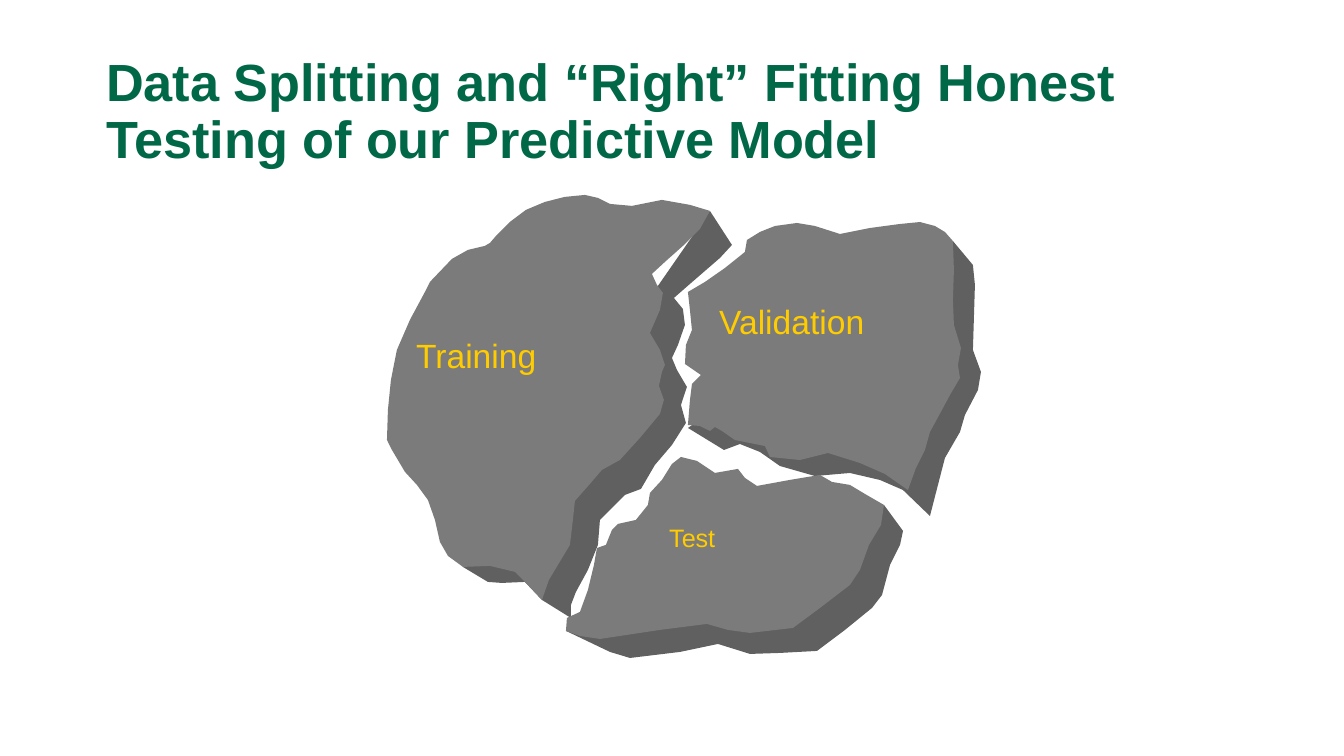
from pptx import Presentation
from pptx.dml.color import RGBColor
from pptx.enum.text import MSO_ANCHOR
from pptx.util import Emu, Pt

PX = 914400 / 134.4
COLORS = {"title": "006747", "label": "FFCC00", "face": "7B7B7B", "side": "606060"}

# Each stone piece: outline of its thick edge, then of its front face
TRAINING_SIDE = [
    (710, 211), (732, 245), (720, 258), (690, 284), (674, 298), (683, 309), (685, 325),
    (678, 345), (672, 358), (677, 370), (687, 387), (681, 405), (686, 423), (672, 445),
    (655, 465), (641, 489), (625, 495), (600, 520), (598, 545), (588, 570), (576, 592),
    (571, 605), (571, 618), (542, 600), (525, 582), (502, 583), (488, 582), (463, 567),
]
TRAINING_FACE = [
    (490, 243), (497, 235), (510, 222), (526, 210), (545, 202), (565, 197), (585, 195),
    (598, 198), (610, 204), (632, 206), (662, 200), (690, 205), (710, 211), (700, 229),
    (683, 246), (665, 262), (652, 274), (657, 285), (663, 293), (660, 310), (650, 333),
    (660, 350), (665, 365), (662, 372), (659, 386), (664, 400), (660, 414), (640, 438),
    (620, 460), (602, 470), (590, 484), (575, 501), (573, 520), (570, 545), (558, 565),
    (549, 580), (542, 600), (525, 582), (515, 572), (490, 566), (463, 567), (448, 556),
    (440, 542), (435, 520), (428, 500), (417, 485), (405, 472), (392, 450), (387, 440),
    (388, 410), (391, 380), (397, 350), (410, 320), (425, 292), (430, 282), (452, 259),
    (468, 250), (485, 246),
]
VALIDATION_SIDE = [
    (953, 241), (973, 265), (975, 285), (973, 350), (981, 372), (978, 390), (965, 415),
    (960, 432), (945, 458), (938, 485), (930, 516), (903, 490), (880, 480), (850, 473),
    (815, 476), (780, 466), (760, 452), (740, 444), (724, 450), (688, 428),
]
VALIDATION_FACE = [
    (747, 240), (760, 232), (775, 226), (797, 223), (815, 226), (840, 234), (870, 228),
    (900, 224), (920, 222), (935, 226), (945, 232), (953, 241), (954, 270), (953, 300),
    (954, 325), (961, 348), (958, 365), (960, 378), (950, 395), (942, 410), (930, 432),
    (925, 450), (916, 468), (908, 490), (885, 474), (860, 463), (828, 453), (800, 460),
    (770, 457), (765, 446), (735, 440), (722, 431), (715, 427), (710, 431), (700, 426),
    (688, 425), (690, 400), (692, 384), (701, 375), (685, 364), (686, 345), (692, 330),
    (690, 310), (688, 292), (705, 282), (725, 268), (745, 252),
]
TEST_SIDE = [
    (884, 505), (903, 531), (900, 545), (890, 565), (882, 595), (872, 608), (845, 630),
    (817, 651), (780, 653), (750, 654), (718, 644), (680, 652), (630, 658), (610, 652),
    (566, 631),
]
TEST_FACE = [
    (567, 618), (580, 612), (588, 590), (594, 565), (597, 548), (606, 545), (612, 530),
    (618, 524), (636, 520), (648, 505), (650, 493), (662, 480), (672, 464), (681, 457),
    (697, 461), (715, 473), (738, 469), (745, 478), (757, 486), (790, 480), (820, 475),
    (832, 482), (850, 485), (865, 494), (884, 505), (881, 525), (869, 545), (860, 570),
    (850, 585), (820, 608), (793, 628), (750, 633), (728, 630), (707, 624), (660, 630),
    (600, 639), (580, 636), (566, 631),
]


def px(length):
    return Emu(round(length * PX))


def add_outline(slide, points, color):
    builder = slide.shapes.build_freeform(*points[0], scale=PX)
    builder.add_line_segments(points[1:], close=True)
    outline = builder.convert_to_shape()
    outline.shadow.inherit = False
    outline.fill.solid()
    outline.fill.fore_color.rgb = RGBColor.from_string(COLORS[color])
    outline.line.fill.background()


def add_piece(slide, side, face):
    add_outline(slide, side, "side")
    add_outline(slide, face, "face")


def add_text(slide, text, box, size, color, wrap=False):
    frame = slide.shapes.add_textbox(*map(px, box)).text_frame
    frame.word_wrap = wrap
    paragraph = frame.paragraphs[0]
    paragraph.text = text
    paragraph.font.name = "Arial"
    paragraph.font.size = Pt(size)
    paragraph.font.color.rgb = RGBColor.from_string(COLORS[color])
    return frame


def add_title(slide, text):
    frame = add_text(slide, text, (93, 40, 1159, 146), 28, "title", wrap=True)
    frame.vertical_anchor = MSO_ANCHOR.MIDDLE
    frame.paragraphs[0].font.bold = True
    frame.paragraphs[0].line_spacing = 0.9


def main():
    deck = Presentation()
    deck.slide_width, deck.slide_height = px(1344), px(756)
    slide = deck.slides.add_slide(deck.slide_layouts[6])

    add_title(slide, "Data Splitting and “Right” Fitting Honest Testing of our Predictive Model")
    add_piece(slide, TRAINING_SIDE, TRAINING_FACE)
    add_piece(slide, VALIDATION_SIDE, VALIDATION_FACE)
    add_piece(slide, TEST_SIDE, TEST_FACE)
    add_text(slide, "Validation", (706, 294, 227, 67), 18, "label")
    add_text(slide, "Test", (656, 516, 97, 67), 13.5, "label")
    add_text(slide, "Training", (403, 328, 227, 67), 18, "label")

    deck.save("out.pptx")


if __name__ == "__main__":
    main()
